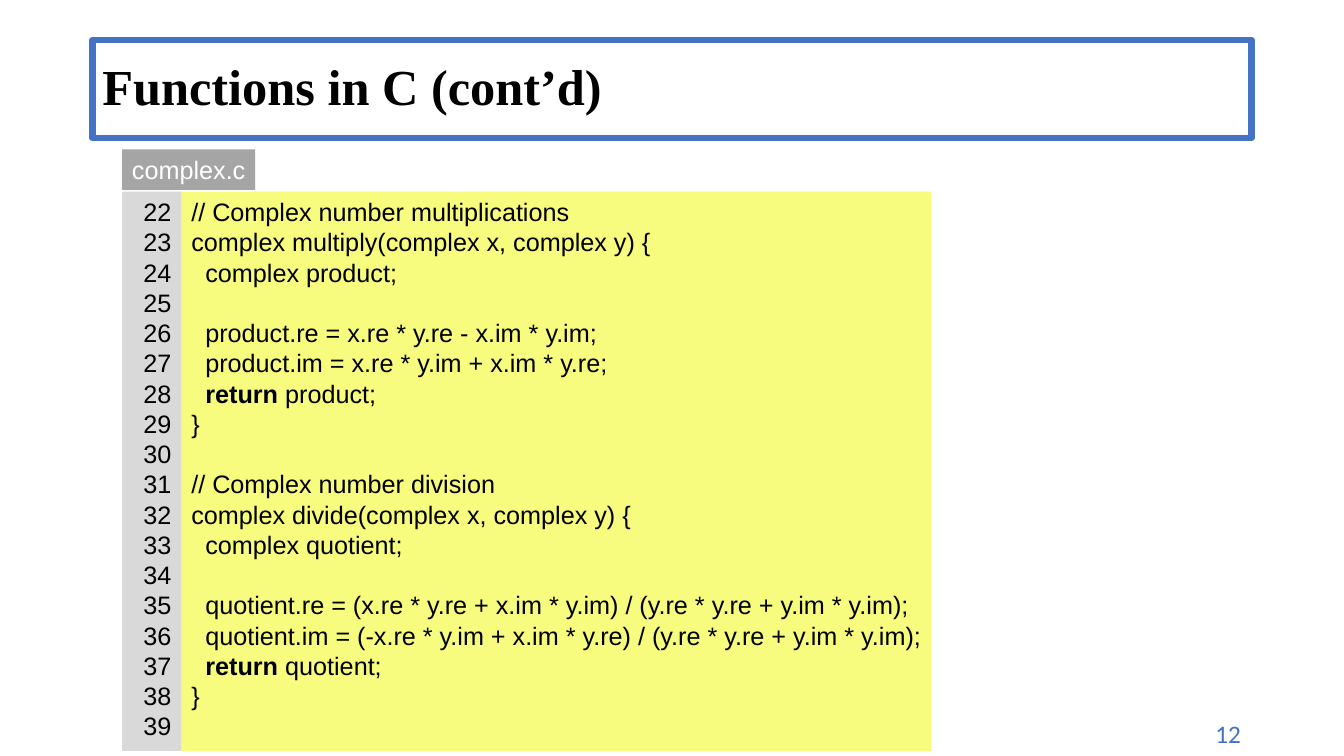
from lxml import etree
from pptx import Presentation
from pptx.dml.color import RGBColor
from pptx.enum.shapes import MSO_SHAPE
from pptx.enum.text import MSO_ANCHOR, PP_ALIGN
from pptx.oxml.ns import qn
from pptx.util import Pt

COLORS = {"blue": "4472C4", "black": "000000", "white": "FFFFFF",
          "tag": "A5A5A5", "gutter": "D9D9D9", "code": "F7FC7E"}
SIZE, LINE = 18, 21.6
INDENT = 10  # one code level, in points
FIRST_NUMBER, LINE_COUNT = 22, 18

# Each entry: blank lines before it, indent level, keyword, remaining code
CODE = [
    (0, 0, "", "// Complex number multiplications"),
    (0, 0, "", "complex multiply(complex x, complex y) {"),
    (0, 1, "", "complex product;"),
    (1, 1, "", "product.re = x.re * y.re - x.im * y.im;"),
    (0, 1, "", "product.im = x.re * y.im + x.im * y.re;"),
    (0, 1, "return ", "product;"),
    (0, 0, "", "}"),
    (1, 0, "", "// Complex number division"),
    (0, 0, "", "complex divide(complex x, complex y) {"),
    (0, 1, "", "complex quotient;"),
    (1, 1, "", "quotient.re = (x.re * y.re + x.im * y.im) / (y.re * y.re + y.im * y.im);"),
    (0, 1, "", "quotient.im = (-x.re * y.im + x.im * y.re) / (y.re * y.re + y.im * y.im);"),
    (0, 1, "return ", "quotient;"),
    (0, 0, "", "}"),
]


class SlideBuilder:
    def __init__(self, slide):
        self.slide = slide

    def color(self, name):
        return RGBColor.from_string(COLORS[name])

    def box(self, left, top, width, height, fill=None, line=None, anchor=MSO_ANCHOR.TOP):
        shape = self.slide.shapes.add_shape(
            MSO_SHAPE.RECTANGLE, Pt(left), Pt(top), Pt(width), Pt(height))
        shape.shadow.inherit = False
        if fill:
            shape.fill.solid()
            shape.fill.fore_color.rgb = self.color(fill)
        else:
            shape.fill.background()
        if line:
            shape.line.color.rgb = self.color(line)
            shape.line.width = Pt(4.5)
            etree.SubElement(shape.line._ln, qn("a:round"))
        else:
            shape.line.fill.background()
        return self.frame(shape, anchor)

    def text_box(self, left, top, width, height):
        return self.frame(self.slide.shapes.add_textbox(
            Pt(left), Pt(top), Pt(width), Pt(height)))

    def frame(self, shape, anchor=MSO_ANCHOR.TOP):
        frame = shape.text_frame
        frame.word_wrap = True
        frame.vertical_anchor = anchor
        return frame

    def paragraph(self, frame, *runs, color="black", font="Arial", size=SIZE,
                  align=PP_ALIGN.LEFT, spacing=None, blanks=0, level=0):
        first = frame.paragraphs[0]
        para = frame.add_paragraph() if first.runs else first
        para.alignment = align
        if spacing:
            para.line_spacing = spacing
        if blanks:
            para.space_before = Pt(blanks * LINE)
        if level:
            para._p.get_or_add_pPr().set("marL", str(Pt(level * INDENT)))
        for text, bold in runs:
            run = para.add_run()
            run.text = text
            run.font.name, run.font.size, run.font.bold = font, Pt(size), bold
            run.font.color.rgb = self.color(color)


prs = Presentation()
prs.slide_width, prs.slide_height = Pt(960), Pt(540)
page = SlideBuilder(prs.slides.add_slide(prs.slide_layouts[6]))

# Slide number
number = page.text_box(780.5, 509.8, 113, 28.8)
page.paragraph(number, ("12", False), color="blue", font="Calibri", align=PP_ALIGN.RIGHT)

# Title
title = page.box(66, 28.8, 828, 69.8, line="blue", anchor=MSO_ANCHOR.MIDDLE)
page.paragraph(title, ("Functions in C (cont’d)", True), font="Times New Roman",
               size=36, spacing=0.9)

# File name tag
LEFT, GUTTER, TOP, HEIGHT = 87.2, 42.4, 136.8, 399.6
tag = page.box(LEFT, 106.6, 95, 29.1, fill="tag")
tag.margin_right = 0
page.paragraph(tag, ("complex.c", False), color="white", spacing=Pt(LINE))

# Code listing
listing = page.box(LEFT + GUTTER, TOP, 535.7, HEIGHT, fill="code")
listing.margin_right = 0
for blanks, level, keyword, rest in CODE:
    runs = [(keyword, True)] if keyword else []
    page.paragraph(listing, *runs, (rest, False), spacing=Pt(LINE),
                   blanks=blanks, level=level)

# Line numbers
gutter = page.box(LEFT, TOP, GUTTER, HEIGHT, fill="gutter")
for line_number in range(FIRST_NUMBER, FIRST_NUMBER + LINE_COUNT):
    page.paragraph(gutter, (str(line_number), False), align=PP_ALIGN.RIGHT,
                   spacing=Pt(LINE))

prs.save("out.pptx")
